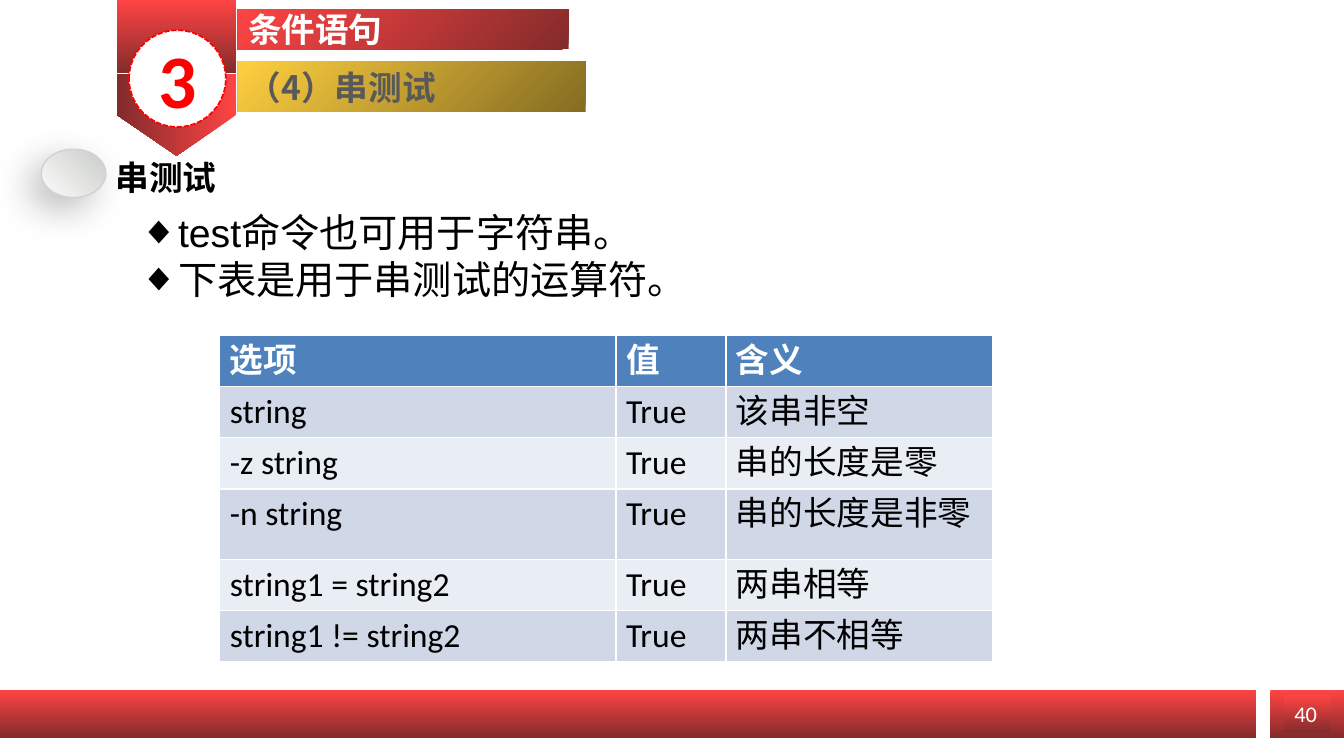
import dataclasses
import pptx
import pptx.util
import pptx.dml.color
import pptx.enum.dml
import pptx.enum.shapes
import pptx.enum.text
import pptx.oxml
import pptx.oxml.ns

Inches = pptx.util.Inches
SHAPE = pptx.enum.shapes.MSO_SHAPE
ANCHOR = pptx.enum.text.MSO_ANCHOR
ALIGN = pptx.enum.text.PP_ALIGN
NS = pptx.oxml.ns.nsdecls("a")


@dataclasses.dataclass(frozen=True)
class Theme:
    red: tuple = ("FE4444", "832B2B")
    gold: tuple = ("FECF40", "846C21")
    silver: tuple = ("C9CBC8", "FCFCFC")
    silver_edge: str = "CFD4D0"
    accent: str = "FF0000"
    white: str = "FFFFFF"
    black: str = "000000"
    gray: str = "595959"
    header: str = "4F81BD"
    bands: tuple = ("D0D8E8", "E9EDF4")
    latin: str = "Calibri"
    cjk: str = "Noto Sans CJK SC"
    list_font: str = "Arial"
    number_size: int = 54
    list_size: int = 28
    text_size: int = 24
    page_size: int = 16


THEME = Theme()


def rgb(code):
    return pptx.dml.color.RGBColor.from_string(code)


def place(part, left, top, width, height):
    part.left, part.top = Inches(left), Inches(top)
    part.width, part.height = Inches(width), Inches(height)


def write(frame, *lines, size=THEME.text_size, font=THEME.latin, color=THEME.black,
          bold=False, align=ALIGN.LEFT, anchor=ANCHOR.TOP, wrap=True, bullet=None):
    """Fill a text frame with one paragraph per line."""
    frame.word_wrap = wrap
    frame.vertical_anchor = anchor
    frame.auto_size = pptx.enum.text.MSO_AUTO_SIZE.NONE
    for index, line in enumerate(lines):
        paragraph = frame.paragraphs[0] if index == 0 else frame.add_paragraph()
        if bullet:
            properties = paragraph._p.get_or_add_pPr()
            properties.set("marL", str(Inches(0.5)))
            properties.set("indent", "0")
            properties.append(pptx.oxml.parse_xml(f'<a:buChar {NS} char="{bullet}"/>'))
            paragraph.space_before = pptx.util.Pt(0)
        paragraph.alignment = align
        run = paragraph.add_run()
        run.text = line
        run.font.size = pptx.util.Pt(size)
        run.font.bold = bold
        run.font.color.rgb = rgb(color)
        run.font.name = font
        run.font._element.find(pptx.oxml.ns.qn("a:latin")).addnext(
            pptx.oxml.parse_xml(f'<a:ea {NS} typeface="{font}"/>'))


def shade(part, colors, angle=90, radial=False):
    """Two-colour gradient; angle runs clockwise, radial starts at the top left."""
    part.fill.gradient()
    for stop, color in zip(part.fill.gradient_stops, colors):
        stop.color.rgb = rgb(color)
    part.fill.gradient_angle = 360 - angle
    if radial:
        linear = part._element.spPr.find(".//" + pptx.oxml.ns.qn("a:lin"))
        linear.getparent().replace(linear, pptx.oxml.parse_xml(
            f'<a:path {NS} path="circle"><a:fillToRect r="100000" b="100000"/></a:path>'))


def add_block(slide, kind, box, colors=None, **gradient):
    block = slide.shapes.add_shape(kind, *map(Inches, box))
    block.shadow.inherit = False
    block.line.fill.background()
    if colors:
        shade(block, colors, **gradient)
    return block


def add_badge(slide, left, top, width):
    """Red pennant with the chapter number."""
    tall, wide = 0.81, width
    pennant = add_block(slide, SHAPE.PENTAGON,
                        (left + (wide - tall) / 2, top + 0.55, tall, wide), THEME.red)
    pennant.rotation = 90
    add_block(slide, SHAPE.RECTANGLE, (left, top, wide, 0.73), THEME.red)
    disc = add_block(slide, SHAPE.OVAL, (left + 0.12, top + 0.3, 0.96, 0.96))
    disc.fill.solid()
    disc.fill.fore_color.rgb = rgb(THEME.white)
    disc.line.color.rgb = rgb(THEME.accent)
    disc.line.width = pptx.util.Pt(1.25)
    disc.line.dash_style = pptx.enum.dml.MSO_LINE.SQUARE_DOT
    write(disc.text_frame, "3", size=THEME.number_size, color=THEME.accent, bold=True,
          align=ALIGN.CENTER, anchor=ANCHOR.MIDDLE)


def add_ribbons(slide, left, top):
    """Chapter title and section title."""
    title = slide.shapes.title
    place(title, left, top, 3.28, 0.4)
    shade(title, THEME.red, radial=True)
    write(title.text_frame, "条件语句", color=THEME.white, bold=True, anchor=ANCHOR.MIDDLE)
    section = add_block(slide, SHAPE.RECTANGLE, (left, top + 0.52, 3.45, 0.5),
                        THEME.gold, radial=True)
    write(section.text_frame, "（4）串测试", font=THEME.cjk, color=THEME.gray, bold=True)


def add_topic(slide, left, top):
    """Silver button, topic heading and bullet list."""
    button = add_block(slide, SHAPE.OVAL, (left, top, 0.64, 0.48), THEME.silver, angle=135)
    button.line.color.rgb = rgb(THEME.silver_edge)
    button.line.width = pptx.util.Pt(1)
    effects = button._element.spPr.find(pptx.oxml.ns.qn("a:effectLst"))
    effects.append(pptx.oxml.parse_xml(
        f'<a:outerShdw {NS} blurRad="{pptx.util.Pt(27)}" dist="{pptx.util.Pt(12)}" '
        f'dir="{135 * 60000}" rotWithShape="0"><a:srgbClr val="{THEME.black}">'
        '<a:alpha val="26000"/></a:srgbClr></a:outerShdw>'))
    heading = slide.shapes.add_textbox(*map(Inches, (left + 0.64, top + 0.03, 2.6, 0.5)))
    write(heading.text_frame, "串测试", font=THEME.cjk, bold=True)
    points = slide.placeholders[1]
    place(points, left + 0.37, top + 0.54, 11.37, 1.45)
    write(points.text_frame, "test命令也可用于字符串。", "下表是用于串测试的运算符。",
          size=THEME.list_size, font=THEME.list_font, bullet="◆")


def add_operators(slide, box):
    """Table of string test operators."""
    rows = [("选项", "值", "含义"),
            ("string", "True", "该串非空"),
            ("-z string", "True", "串的长度是零"),
            ("-n string", "True", "串的长度是非零"),
            ("string1 = string2", "True", "两串相等"),
            ("string1 != string2", "True", "两串不相等")]
    operators = slide.shapes.add_table(len(rows), 3, *map(Inches, box)).table
    for column, width in zip(operators.columns, (3.93, 1.09, 2.65)):
        column.width = Inches(width)
    for number, texts in enumerate(rows):
        operators.rows[number].height = Inches(0.7 if number == 3 else 0.5)
        is_header = number == 0
        for cell, text in zip(operators.rows[number].cells, texts):
            cell.fill.solid()
            cell.fill.fore_color.rgb = rgb(
                THEME.header if is_header else THEME.bands[(number - 1) % 2])
            write(cell.text_frame, text, bold=is_header,
                  color=THEME.white if is_header else THEME.black)


def add_footer(slide, top, height):
    """Red bottom bar and page number."""
    add_block(slide, SHAPE.RECTANGLE, (0, top, 12.46, height), THEME.red)
    add_block(slide, SHAPE.RECTANGLE, (12.6, top, 0.74, height), THEME.red)
    page = add_block(slide, SHAPE.RECTANGLE, (12.74, top + 0.05, 0.46, 0.37), THEME.red)
    write(page.text_frame, "40", size=THEME.page_size, color=THEME.white, wrap=False)


def main():
    deck = pptx.Presentation()
    deck.slide_width, deck.slide_height = Inches(13.33), Inches(7.5)
    slide = deck.slides.add_slide(deck.slide_layouts[1])
    add_badge(slide, 1.16, 0, 1.18)
    add_footer(slide, 6.85, 0.47)
    add_ribbons(slide, 2.36, 0.09)
    add_topic(slide, 0.41, 1.48)
    add_operators(slide, (2.18, 3.33, 7.67, 3.2))
    deck.save("out.pptx")


if __name__ == "__main__":
    main()
